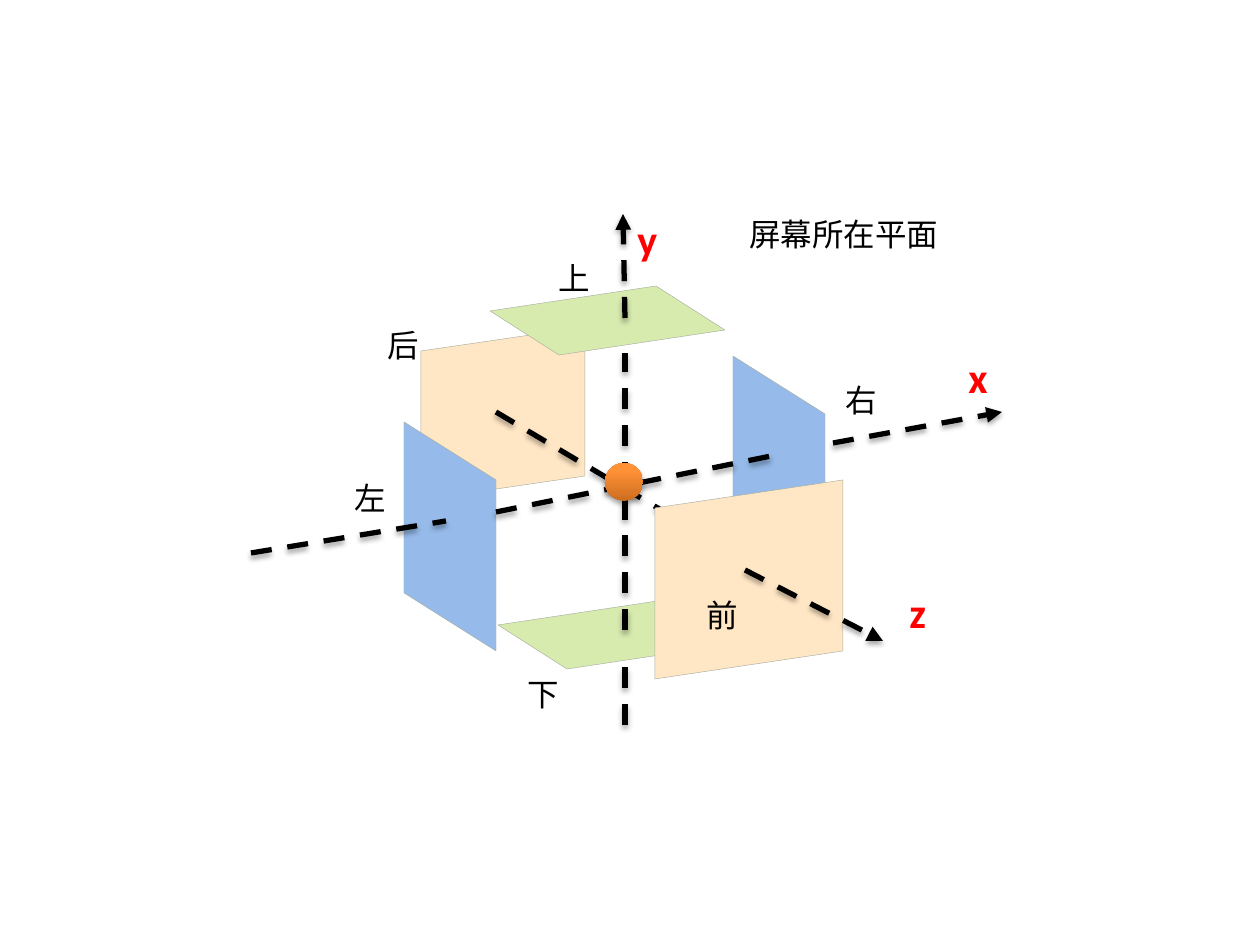
from lxml.etree import SubElement
from pptx import Presentation
from pptx.dml.color import RGBColor
from pptx.enum.dml import MSO_LINE
from pptx.enum.shapes import MSO_CONNECTOR, MSO_SHAPE
from pptx.oxml.ns import qn
from pptx.util import Pt

PX = 914400 / 126
BLACK = RGBColor(0, 0, 0)
RED = RGBColor(255, 0, 0)
PEACH = RGBColor(0xFF, 0xE6, 0xC5)
GREEN = RGBColor(0xD7, 0xEB, 0xAF)
BLUE = RGBColor(0x96, 0xBB, 0xEA)
EDGE = RGBColor(0xA8, 0xAE, 0xA0)
DARK = RGBColor(0xCC, 0x6E, 0x20)
LIGHT = RGBColor(0xFF, 0x91, 0x36)


def px(*nums):
    return [round(n * PX) for n in nums]


def add_text(text, x, y, w=59, h=50, size=18, color=BLACK, bold=False):
    box = slide.shapes.add_textbox(*px(x, y, w, h))
    box.text_frame.word_wrap = True
    run = box.text_frame.paragraphs[0].add_run()
    run.text = text
    run.font.name = "Calibri"
    run.font.size = Pt(size)
    run.font.bold = bold
    run.font.color.rgb = color


prs = Presentation()
prs.slide_width, prs.slide_height = px(1260, 945)
slide = prs.slides.add_slide(prs.slide_layouts[6])
cast = []  # shapes that get a soft shadow

# Cube faces: colour, first corner, then the two edge vectors
back = [
    (PEACH, (421, 351), (164, -24), (0, 149)),
    (GREEN, (498, 625), (166, -25), (69, 44)),
    (BLUE, (404, 422), (92, 58), (0, 171)),
    (BLUE, (733, 356), (92, 58), (0, 171)),
    (GREEN, (490, 311), (166, -25), (69, 44)),
]
front = [(PEACH, (655, 508), (188, -28), (0, 171))]

# Axis parts: start, end, arrowhead
inner = [
    ((496, 512), (776, 455), False),
    ((496, 412), (747, 561), True),
]
outer = [
    ((625, 630), (625, 353), False),
    ((251, 553), (446, 521), False),
    ((833, 443), (1002, 412), True),
    ((625, 318), (623, 214), True),
    ((745, 570), (883, 641), True),
    ((625, 725), (625, 663), False),
]

# The front face covers the inner axis parts
for faces, lines in ((back, inner), (front, outer)):
    for color, (x, y), (ux, uy), (vx, vy) in faces:
        path = slide.shapes.build_freeform(x, y, scale=PX)
        path.add_line_segments([
            (x + ux, y + uy), (x + ux + vx, y + uy + vy), (x + vx, y + vy)])
        face = path.convert_to_shape()
        face.shadow.inherit = False
        face.fill.solid()
        face.fill.fore_color.rgb = color
        face.line.color.rgb = EDGE
        face.line.width = Pt(0.25)
    for start, end, arrow in lines:
        axis = slide.shapes.add_connector(
            MSO_CONNECTOR.STRAIGHT, *px(*start, *end))
        axis.line.color.rgb = BLACK
        axis.line.width = Pt(3)
        axis.line.dash_style = MSO_LINE.DASH
        if arrow:
            SubElement(axis.line._get_or_add_ln(), qn("a:tailEnd"),
                       type="triangle")
        cast.append(axis)

# Origin
ball = slide.shapes.add_shape(MSO_SHAPE.OVAL, *px(605, 463, 38, 38))
ball.fill.gradient()
ball.fill.gradient_angle = 90
for stop, color, place in zip(ball.fill.gradient_stops, (DARK, LIGHT), (0, 0.8)):
    stop.color.rgb = color
    stop.position = place
ball.line.fill.background()
cast.append(ball)

# Shadows
for shape in cast:
    effect = SubElement(shape._element.spPr, qn("a:effectLst"))
    shade = SubElement(effect, qn("a:outerShdw"), blurRad=str(Pt(3.1)),
                       dist=str(Pt(1.8)), dir="5400000", rotWithShape="0")
    black = SubElement(shade, qn("a:srgbClr"), val="000000")
    SubElement(black, qn("a:alpha"), val="35000")

# Axis names
for name, x, y in (("x", 956, 345), ("y", 625, 207), ("z", 897, 580)):
    add_text(name, x, y, w=42, h=63, size=24, color=RED, bold=True)

# Face names
for name, x, y in (("右", 833, 375), ("左", 342, 473), ("前", 694, 590),
                   ("后", 375, 320), ("上", 546, 253), ("下", 515, 669)):
    add_text(name, x, y)
add_text("屏幕所在平面", 737, 209, w=270)

prs.save("out.pptx")
